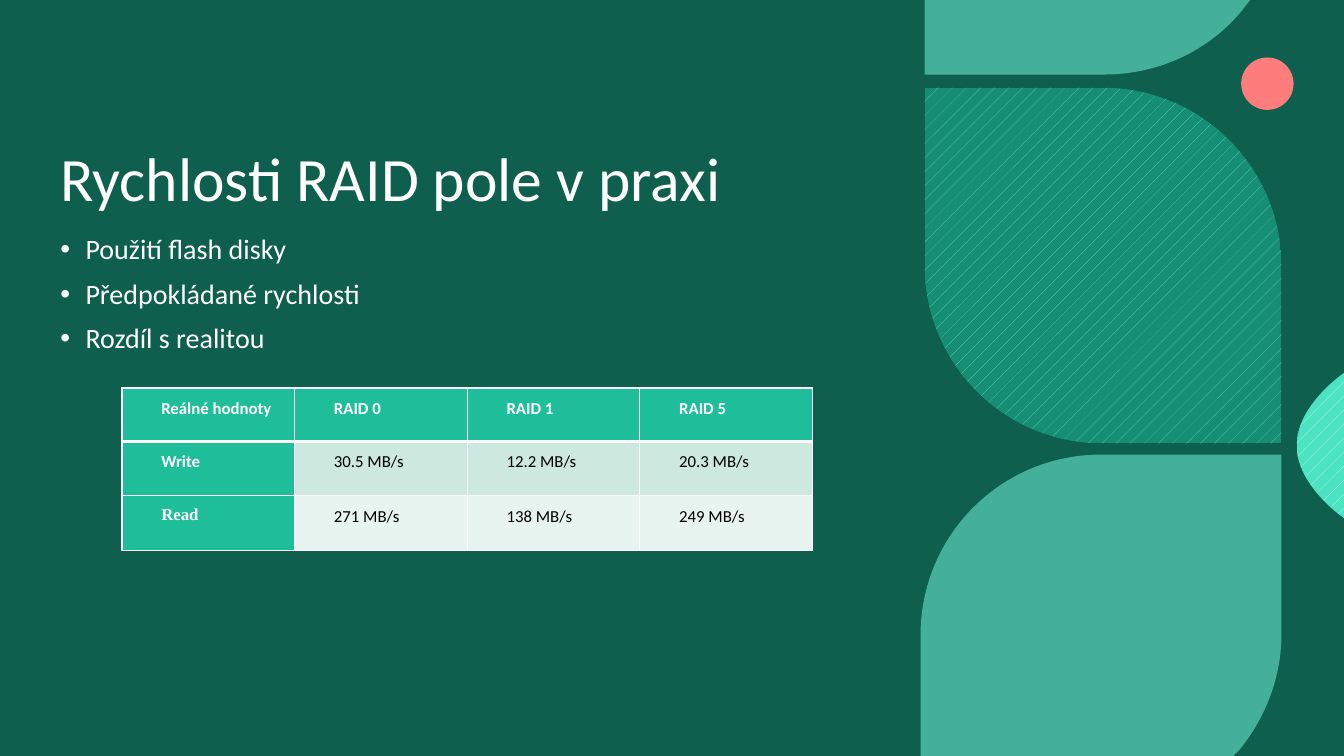
import pptx
import pptx.util
from lxml import etree
from pptx.dml.color import RGBColor
from pptx.enum.dml import MSO_PATTERN
from pptx.enum.shapes import MSO_SHAPE
from pptx.enum.text import MSO_ANCHOR, PP_ALIGN
from pptx.oxml.ns import qn

EMU_PER_PX = 9144
SLIDE_WIDTH, SLIDE_HEIGHT = 1333, 750

DARK_GREEN = RGBColor(0x09, 0x39, 0x2F)
VEIL_GREEN = RGBColor(0x18, 0x99, 0x7E)
CORAL = RGBColor(0xFD, 0x7C, 0x7C)
MINT = RGBColor(0x69, 0xE7, 0xCC)
PALE_MINT = RGBColor(0xC3, 0xF6, 0xEB)
BRIGHT_MINT = RGBColor(0x4B, 0xE3, 0xC2)
LEAF_GREEN = RGBColor(0x17, 0x8E, 0x74)
HEADER_GREEN = RGBColor(0x1E, 0xBE, 0x9B)
BAND_DARK = RGBColor(0xCD, 0xE8, 0xDE)
BAND_LIGHT = RGBColor(0xE8, 0xF4, 0xEF)
WHITE = RGBColor(0xFF, 0xFF, 0xFF)
BLACK = RGBColor(0x00, 0x00, 0x00)

# Outlines: one point is a straight step, three points are a Bézier curve
TOP_LEAF = [[(917, 0)], [(1240, 0)], [(1233, 9)],
            [(1201, 49), (1151, 74), (1095, 74)], [(917, 74)]]
BOTTOM_LEAF = [[(1092, 451)], [(1271, 451)], [(1271, 629)],
               [(1271, 672), (1255, 712), (1230, 743)], [(1223, 750)],
               [(913, 750)], [(913, 630)],
               [(913, 531), (993, 451), (1092, 451)]]
EDGE_LEAF = [[(1333, 370)], [(1333, 514)],
             [(1333, 514), (1286, 482), (1286, 442)],
             [(1286, 402), (1333, 370), (1333, 370)]]
MIDDLE_LEAF = [[(1271, 440)], [(1094, 440)],
               [(996, 440), (917, 361), (917, 263)], [(917, 87)], [(1094, 87)],
               [(1191, 87), (1271, 166), (1271, 264)]]

BULLETS = ["Použití flash disky", "Předpokládané rychlosti", "Rozdíl s realitou"]
SPEEDS = [
    ["Reálné hodnoty", "RAID 0", "RAID 1", "RAID 5"],
    ["Write", "30.5 MB/s", "12.2 MB/s", "20.3 MB/s"],
    ["Read", "271 MB/s", "138 MB/s", "249 MB/s"],
]
ROW_FILLS = [HEADER_GREEN, BAND_DARK, BAND_LIGHT]
TABLE_WIDTH = 685
ROW_HEIGHTS = [53, 54, 54]


def px(length):
    return pptx.util.Emu(round(length * EMU_PER_PX))


def paint(shape, color, opacity=100):
    shape.shadow.inherit = False
    shape.line.fill.background()
    shape.fill.solid()
    shape.fill.fore_color.rgb = color
    if opacity < 100:
        color_element = shape._element.spPr.find(qn("a:solidFill"))[0]
        etree.SubElement(color_element, qn("a:alpha"), val=str(opacity * 1000))


def paint_pattern(shape, foreground, background):
    shape.shadow.inherit = False
    shape.line.fill.background()
    shape.fill.patterned()
    shape.fill.pattern = MSO_PATTERN.PERCENT_5
    shape.fill.fore_color.rgb = foreground
    shape.fill.back_color.rgb = background


def add_preset(slide, kind, left, top, width, height):
    return slide.shapes.add_shape(kind, px(left), px(top), px(width), px(height))


def add_leaf(slide, steps):
    points = [(px(x), px(y)) for step in steps for x, y in step]
    builder = slide.shapes.build_freeform(*points[0])
    builder.add_line_segments(points[1:], close=True)
    shape = builder.convert_to_shape()

    # Join the three segments of each curve into one Bézier element
    segments = iter(list(next(shape._element.iter(qn("a:path")))))
    for step in steps:
        group = [next(segments) for _ in step]
        if len(group) == 3:
            curve = etree.Element(qn("a:cubicBezTo"))
            group[0].addprevious(curve)
            for segment in group:
                curve.append(segment[0])
                segment.getparent().remove(segment)
    return shape


def add_text(slide, left, top, width, height, lines, size, anchor):
    box = slide.shapes.add_textbox(px(left), px(top), px(width), px(height))
    frame = box.text_frame
    frame.word_wrap = True
    frame.vertical_anchor = anchor
    frame.text = "\n".join(lines)
    for paragraph in frame.paragraphs:
        paragraph.line_spacing = 0.9
        set_font(paragraph, size, WHITE)
    return frame


def set_font(paragraph, size, color, name="Calibri", bold=False):
    paragraph.font.name = name
    paragraph.font.size = pptx.util.Pt(size)
    paragraph.font.color.rgb = color
    paragraph.font.bold = bold


def set_bullet(paragraph):
    paragraph.space_before = pptx.util.Pt(10)
    properties = paragraph._p.get_or_add_pPr()
    properties.set("marL", str(px(25)))
    properties.set("indent", str(px(-25)))
    bullet_font = etree.Element(qn("a:buFont"), typeface="Arial")
    bullet = etree.Element(qn("a:buChar"), char="•")
    position = properties.index(properties.find(qn("a:defRPr")))
    properties[position:position] = [bullet_font, bullet]


def set_borders(cell, bottom_points):
    properties = cell._tc.get_or_add_tcPr()
    widths = {"a:lnL": 1, "a:lnR": 1, "a:lnT": 1, "a:lnB": bottom_points}
    for index, (tag, points) in enumerate(widths.items()):
        line = etree.Element(qn(tag), w=str(pptx.util.Pt(points)))
        fill = etree.SubElement(line, qn("a:solidFill"))
        etree.SubElement(fill, qn("a:srgbClr"), val=str(WHITE))
        properties.insert(index, line)


def fill_cell(cell, row, column):
    is_heading = row == 0 or column == 0
    cell.fill.solid()
    cell.fill.fore_color.rgb = HEADER_GREEN if is_heading else ROW_FILLS[row]
    cell.margin_left = cell.margin_right = px(7)
    cell.margin_top = cell.margin_bottom = 0
    set_borders(cell, 3 if row == 0 else 1)
    cell.text = SPEEDS[row][column]
    paragraph = cell.text_frame.paragraphs[0]
    paragraph.alignment = PP_ALIGN.LEFT if row == column == 0 else PP_ALIGN.JUSTIFY
    paragraph.line_spacing = 1.5
    paragraph.space_before = paragraph.space_after = pptx.util.Pt(6)
    paragraph._p.get_or_add_pPr().set("indent", str(px(32)))
    set_font(paragraph, 12, WHITE if is_heading else BLACK,
             "Times New Roman" if SPEEDS[row][column] == "Read" else "Calibri",
             is_heading)


def add_speed_table(slide, left, top):
    frame = slide.shapes.add_table(
        len(SPEEDS), len(SPEEDS[0]), px(left), px(top),
        px(TABLE_WIDTH), px(sum(ROW_HEIGHTS)))
    table = frame.table
    for row, height in zip(table.rows, ROW_HEIGHTS):
        row.height = px(height)
    for row, values in enumerate(SPEEDS):
        for column in range(len(values)):
            fill_cell(table.cell(row, column), row, column)


def main():
    presentation = pptx.Presentation()
    presentation.slide_width = px(SLIDE_WIDTH)
    presentation.slide_height = px(SLIDE_HEIGHT)
    slide = presentation.slides.add_slide(presentation.slide_layouts[6])

    # Background with a translucent veil
    slide.background.fill.solid()
    slide.background.fill.fore_color.rgb = DARK_GREEN
    veil = add_preset(slide, MSO_SHAPE.RECTANGLE, 0, 0, SLIDE_WIDTH, SLIDE_HEIGHT)
    paint(veil, VEIL_GREEN, 40)

    # Leaf decoration
    paint(add_preset(slide, MSO_SHAPE.OVAL, 1231, 57, 52, 52), CORAL)
    paint(add_leaf(slide, TOP_LEAF), MINT, 60)
    paint(add_leaf(slide, BOTTOM_LEAF), MINT, 60)
    paint_pattern(add_leaf(slide, EDGE_LEAF), PALE_MINT, BRIGHT_MINT)
    paint_pattern(add_leaf(slide, MIDDLE_LEAF), BRIGHT_MINT, LEAF_GREEN)

    # Title and bullets
    add_text(slide, 50, 73, 840, 145, ["Rychlosti RAID pole v praxi"], 44, MSO_ANCHOR.BOTTOM)
    body = add_text(slide, 50, 229, 840, 446, BULLETS, 20, MSO_ANCHOR.TOP)
    for paragraph in body.paragraphs:
        set_bullet(paragraph)

    # Measured speeds
    add_speed_table(slide, 121, 385)

    presentation.save("out.pptx")


if __name__ == "__main__":
    main()
